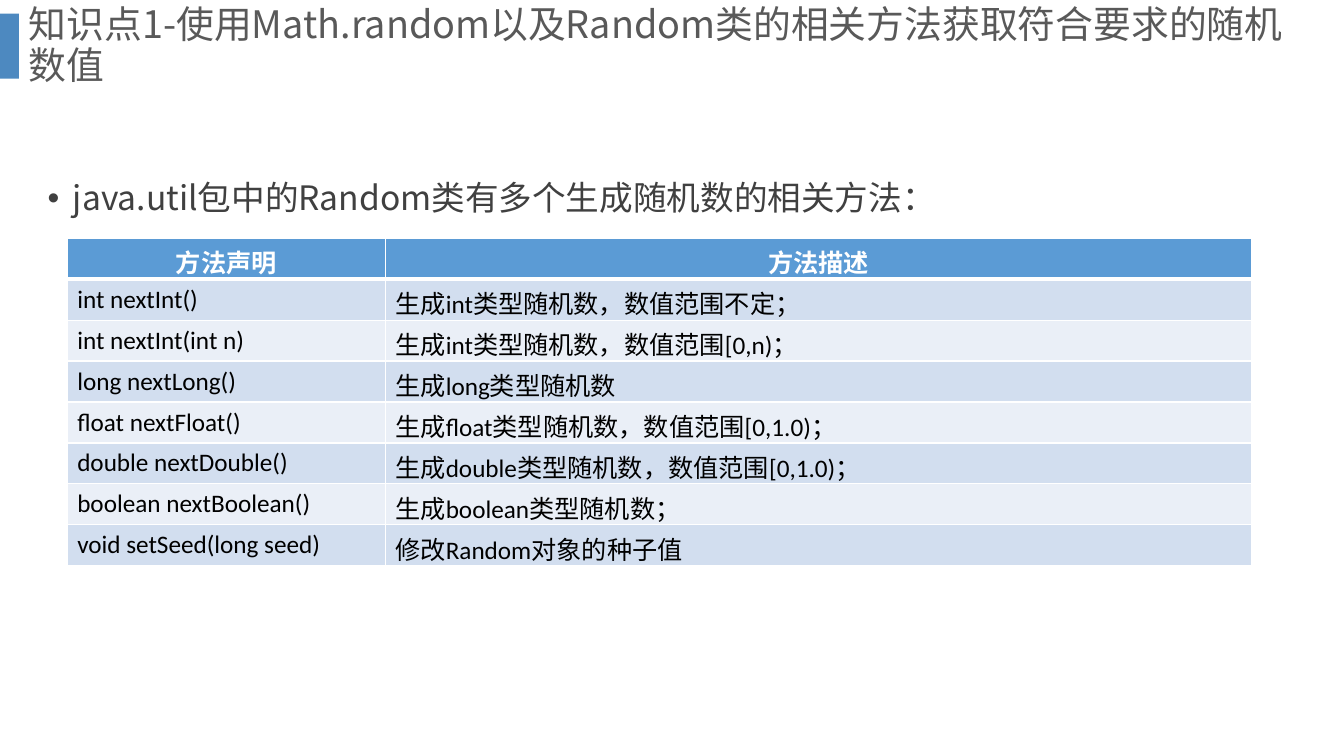
from lxml import etree
from pptx import Presentation
from pptx import util as u
from pptx.dml import color
from pptx.enum import shapes, text
from pptx.oxml import ns

PX = 9525
CJK = "Noto Sans CJK SC"
HEADING = "知识点1-使用Math.random以及Random类的相关方法获取符合要求的随机数值"
INTRO = "java.util包中的Random类有多个生成随机数的相关方法："
METHODS = [
    ("方法声明", "方法描述"),
    ("int nextInt()", "生成int类型随机数，数值范围不定；"),
    ("int nextInt(int n)", "生成int类型随机数，数值范围[0,n)；"),
    ("long nextLong()", "生成long类型随机数"),
    ("float nextFloat()", "生成float类型随机数，数值范围[0,1.0)；"),
    ("double nextDouble()", "生成double类型随机数，数值范围[0,1.0)；"),
    ("boolean nextBoolean()", "生成boolean类型随机数；"),
    ("void setSeed(long seed)", "修改Random对象的种子值"),
]


def px(*lengths):
    return [u.Emu(length * PX) for length in lengths]


def rgb(value):
    return color.RGBColor.from_string(value)


def add_element(parent, tag, **attributes):
    return etree.SubElement(parent, ns.qn(tag), attributes)


def set_values(target, values):
    for name, value in values.items():
        setattr(target, name, value)


def write(paragraph, words, ink, font, layout):
    set_values(paragraph, layout)
    run = paragraph.add_run()
    run.text = words
    set_values(run.font, font)
    run.font.color.rgb = rgb(ink)
    add_element(run._r.get_or_add_rPr(), "a:ea", typeface=CJK)


def add_text_box(slide, box, anchor):
    frame = slide.shapes.add_textbox(*px(*box)).text_frame
    set_values(frame, {"word_wrap": True, "vertical_anchor": anchor})
    return frame.paragraphs[0]


def add_heading(slide, box):
    left, top, width, height = box
    bar_width = 18
    bar = slide.shapes.add_shape(
        shapes.MSO_SHAPE.RECTANGLE, *px(left, top + 13, bar_width, 62))
    bar.shadow.inherit = False
    bar.fill.solid()
    bar.fill.fore_color.rgb = rgb("2E75B6")
    bar.line.fill.background()
    solid = bar._element.spPr.find(ns.qn("a:solidFill"))
    add_element(solid[0], "a:alpha", val="85000")
    paragraph = add_text_box(
        slide, (left + bar_width, top, width - bar_width, height),
        text.MSO_ANCHOR.MIDDLE)
    write(paragraph, HEADING, "595959",
          {"size": u.Pt(27), "name": CJK}, {"line_spacing": 0.9})


def add_intro(slide, box):
    paragraph = add_text_box(slide, box, text.MSO_ANCHOR.TOP)
    properties = paragraph._p.get_or_add_pPr()
    indent = 24 * PX
    properties.set("marL", str(indent))
    properties.set("indent", str(-indent))
    add_element(properties, "a:buFont", typeface="Arial")
    add_element(properties, "a:buChar", char="•")
    write(paragraph, INTRO, "404040",
          {"size": u.Pt(24), "name": CJK}, {"line_spacing": 1.5})


def add_borders(cell, points):
    properties = cell._tc.get_or_add_tcPr()
    for side, width in points.items():
        line = add_element(properties, f"a:ln{side}", w=str(u.Pt(width)))
        solid = add_element(line, "a:solidFill")
        add_element(solid, "a:srgbClr", val="FFFFFF")


def add_methods(slide, box):
    table = slide.shapes.add_table(
        len(METHODS), len(METHODS[0]), *px(*box)).table
    name_width = 303
    table.columns[0].width, table.columns[1].width = px(
        name_width, box[2] - name_width)
    for row, record in enumerate(METHODS):
        header = row == 0
        fill = "5B9BD5" if header else ("EAEFF7", "D2DEEF")[row % 2]
        for column, words in enumerate(record):
            cell = table.cell(row, column)
            add_borders(cell, {"L": 1, "R": 1, "T": 3 if row == 1 else 1,
                               "B": 3 if header else 1})
            cell.fill.solid()
            cell.fill.fore_color.rgb = rgb(fill)
            align = text.PP_ALIGN.CENTER if header else text.PP_ALIGN.LEFT
            write(cell.text_frame.paragraphs[0], words,
                  "FFFFFF" if header else "000000",
                  {"size": u.Pt(18), "name": "Calibri", "bold": header},
                  {"alignment": align})


def main():
    presentation = Presentation()
    width, height = px(1280, 720)
    set_values(presentation, {"slide_width": width, "slide_height": height})
    slide = presentation.slides.add_slide(presentation.slide_layouts[6])
    add_heading(slide, (0, 0, 1233, 89))
    add_intro(slide, (36, 145, 1157, 328))
    add_methods(slide, (64, 227, 1128, 312))
    presentation.save("out.pptx")


if __name__ == "__main__":
    main()
